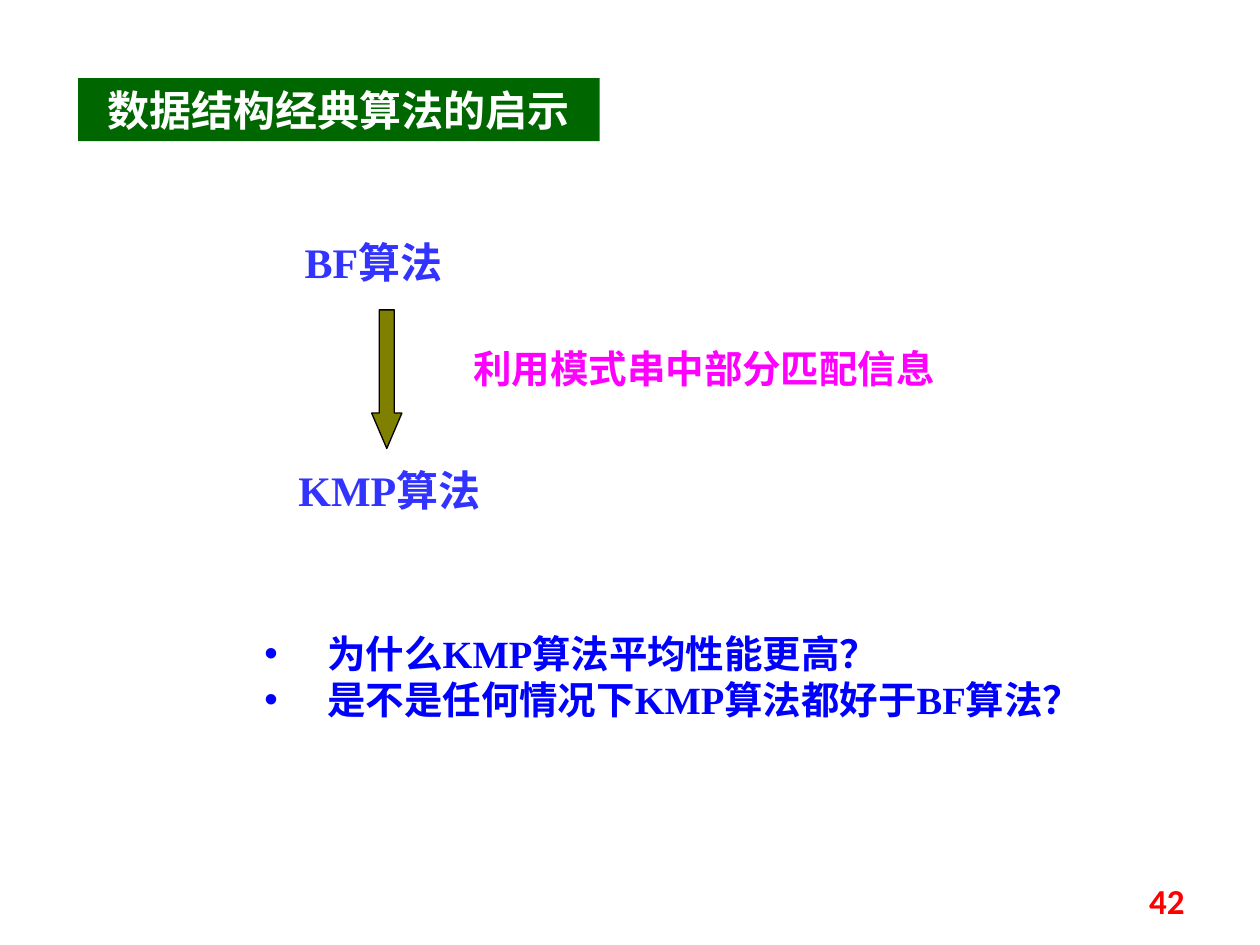
import pptx
import pptx.util
import pptx.dml.color
import pptx.enum.shapes
import pptx.enum.text
import pptx.oxml.ns
from lxml import etree

Inches, Pt = pptx.util.Inches, pptx.util.Pt
ALIGN = pptx.enum.text.PP_ALIGN
ANCHOR = pptx.enum.text.MSO_ANCHOR
COLORS = {"banner": "006600", "white": "FFFFFF", "algorithm": "3333FF",
          "hint": "FF00FF", "arrow": "808000", "outline": "000000",
          "question": "0000FF", "number": "FF0000"}
CJK = "Noto Sans CJK SC"
SERIF = "Times New Roman"


def rgb(name):
    return pptx.dml.color.RGBColor.from_string(COLORS[name])


def add_run(p, text, size, font, color):
    """Add a bold run with both its Latin and East Asian fonts set."""
    r = p.add_run()
    r.text = text
    r.font.size = Pt(size)
    r.font.bold = True
    r.font.name = font
    r.font.color.rgb = rgb(color)
    ea = etree.SubElement(r.font._element, pptx.oxml.ns.qn("a:ea"))
    ea.set("typeface", CJK)


prs = pptx.Presentation()
prs.slide_width, prs.slide_height = Inches(10), Inches(7.5)
s = prs.slides.add_slide(prs.slide_layouts[5])

# Title banner
title = s.shapes.title
title.left, title.top = Inches(0.62), Inches(0.62)
title.width, title.height = Inches(4.14), Inches(0.5)
title.fill.solid()
title.fill.fore_color.rgb = rgb("banner")
tf = title.text_frame
tf.auto_size = pptx.enum.text.MSO_AUTO_SIZE.NONE
tf.vertical_anchor = ANCHOR.TOP
p = tf.paragraphs[0]
p.alignment = ALIGN.CENTER
add_run(p, "数据结构经典算法的启示", 24, CJK, "white")

# Algorithms and the idea that links them
labels = [
    ("BF算法", 2.32, 1.83, 1.43, 0.5, 24, "algorithm"),
    ("KMP算法", 2.27, 3.64, 1.9, 0.5, 24, "algorithm"),
    ("利用模式串中部分匹配信息", 3.66, 2.69, 4, 0.47, 22, "hint"),
]
for text, left, top, width, height, size, color in labels:
    sp = s.shapes.add_textbox(Inches(left), Inches(top), Inches(width), Inches(height))
    sp.text_frame.word_wrap = True
    add_run(sp.text_frame.paragraphs[0], text, size, SERIF, color)

arrow = s.shapes.add_shape(pptx.enum.shapes.MSO_SHAPE.DOWN_ARROW,
                           Inches(2.95), Inches(2.46), Inches(0.24), Inches(1.1))
arrow.adjustments[0], arrow.adjustments[1] = 0.5, 1.17
arrow.shadow.inherit = False
arrow.fill.solid()
arrow.fill.fore_color.rgb = rgb("arrow")
arrow.line.color.rgb = rgb("outline")
arrow.line.width = Pt(0.75)

# Slide number
sp = s.shapes.add_textbox(Inches(7.17), Inches(6.95), Inches(2.33), Inches(0.4))
tf = sp.text_frame
tf.word_wrap = True
tf.vertical_anchor = ANCHOR.MIDDLE
p = tf.paragraphs[0]
p.alignment = ALIGN.RIGHT
add_run(p, "42", 20, "Calibri", "number")

# Questions
sp = s.shapes.add_textbox(Inches(2), Inches(4.95), Inches(6.88), Inches(1.1))
tf = sp.text_frame
tf.word_wrap = True
questions = ["为什么KMP算法平均性能更高？", "是不是任何情况下KMP算法都好于BF算法？"]
for i, question in enumerate(questions):
    p = tf.add_paragraph() if i else tf.paragraphs[0]
    pPr = p._p.get_or_add_pPr()
    pPr.set("marL", str(Inches(0.5)))
    pPr.set("indent", str(-Inches(0.5)))
    etree.SubElement(pPr, pptx.oxml.ns.qn("a:buFont")).set("typeface", "Arial")
    etree.SubElement(pPr, pptx.oxml.ns.qn("a:buChar")).set("char", "•")
    add_run(p, question, 22, SERIF, "question")

prs.save("out.pptx")
